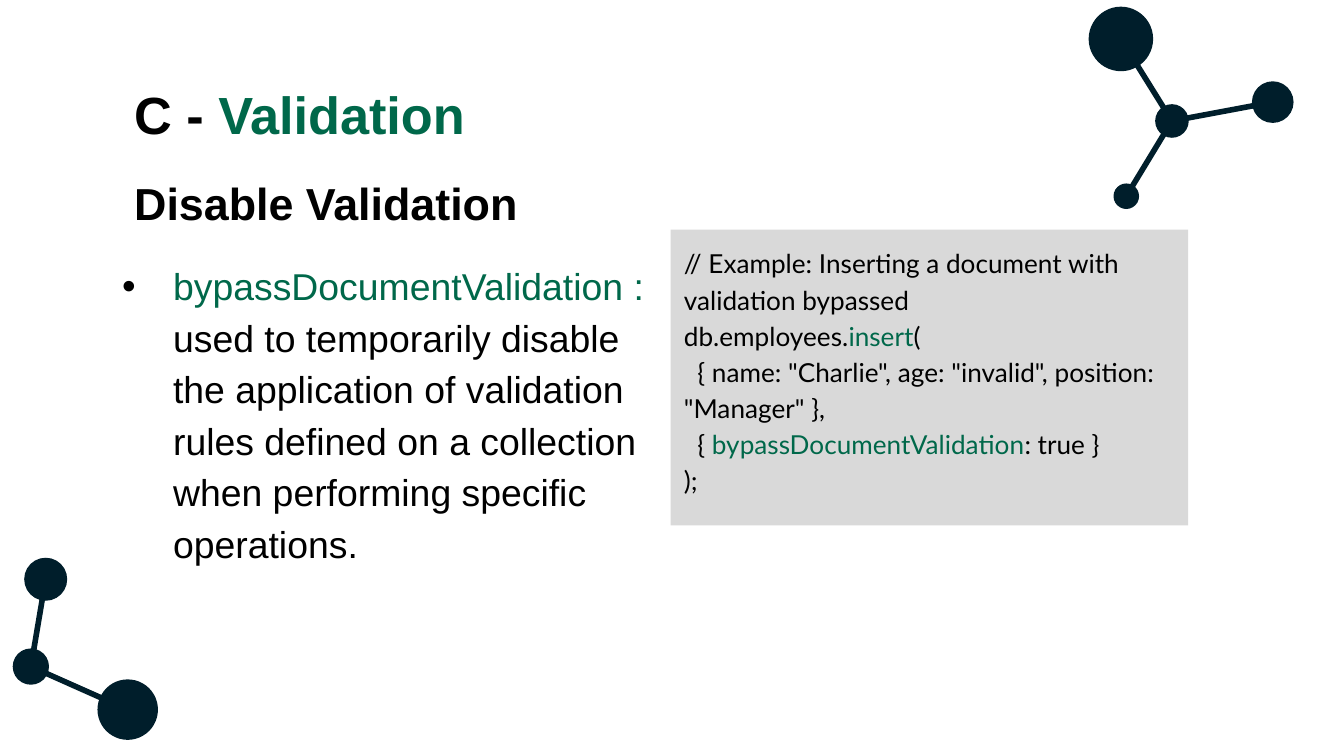
from lxml import etree
from pptx import Presentation
from pptx.dml.color import RGBColor
from pptx.enum.shapes import MSO_CONNECTOR as CONN, MSO_SHAPE as SHAPE
from pptx.enum.text import MSO_ANCHOR as ANCHOR, PP_ALIGN as ALIGN
from pptx.oxml.ns import qn
from pptx.util import Inches, Pt

NAVY, GREEN, BLACK, GREY = "001E2B", "00684A", "000000", "D9D9D9"


def paint(fmt, color):
    """Give a fill or a line a solid colour."""
    fill = getattr(fmt, "fill", fmt)
    fill.solid()
    fill.fore_color.rgb = RGBColor.from_string(color)


def write(sp, paras, anchor=ANCHOR.TOP, spacing=1.0, **font):
    """Fill a shape with paragraphs, each a list of (text, colour) runs."""
    tf = sp.text_frame
    tf.word_wrap, tf.vertical_anchor = True, anchor
    for side in ("left", "right", "top", "bottom"):
        setattr(tf, "margin_" + side, Inches(0.1))
    for i, runs in enumerate(paras):
        p = tf.paragraphs[0] if i == 0 else tf.add_paragraph()
        p.alignment, p.line_spacing = ALIGN.LEFT, spacing
        for text, color in runs:
            if text == "\n":
                p.add_line_break()
                continue
            r = p.add_run()
            r.text = text
            r.font.color.rgb = RGBColor.from_string(color)
            for key, value in font.items():
                setattr(r.font, key, value)
    return tf.paragraphs


prs = Presentation()
prs.slide_width = Inches(10)
prs.slide_height = prs.slide_width * 9 // 16
s = prs.slides.add_slide(prs.slide_layouts[6])

# Molecules: atoms as (centre x, centre y, diameter), bonds from the hub
molecules = [
    [(0.23, 4.96, 0.27), (0.34, 4.31, 0.32), (0.95, 5.28, 0.45)],
    [(8.72, 0.9, 0.25), (8.34, 0.29, 0.48), (8.38, 1.46, 0.19), (9.47, 0.76, 0.31)],
]
for atoms in molecules:
    hub_x, hub_y, _ = atoms[0]
    for x, y, d in atoms:
        atom = s.shapes.add_shape(SHAPE.OVAL, Inches(x - d / 2), Inches(y - d / 2),
                                  Inches(d), Inches(d))
        atom.shadow.inherit = False
        paint(atom.fill, NAVY)
        atom.line.fill.background()
    for x, y, _ in atoms[1:]:
        bond = s.shapes.add_connector(CONN.STRAIGHT, Inches(hub_x), Inches(hub_y),
                                      Inches(x), Inches(y))
        paint(bond.line, NAVY)
        bond.line.width = Pt(3)
        etree.SubElement(bond._element.spPr, qn("a:effectLst"))

# Headings
heading = dict(name="Arial", bold=True)
title = s.shapes.add_textbox(Inches(0.9), Inches(0.51), Inches(3.85), Inches(0.63))
write(title, [[("C - ", BLACK), ("Validation", GREEN)]], size=Pt(28), **heading)
subtitle = s.shapes.add_textbox(Inches(0.9), Inches(1.18), Inches(3.85), Inches(0.63))
write(subtitle, [[("Disable Validation", BLACK)]], ANCHOR.BOTTOM, size=Pt(24), **heading)

# Code panel
code = s.shapes.add_shape(SHAPE.RECTANGLE, Inches(4.99), Inches(1.71), Inches(3.85), Inches(2.2))
code.shadow.inherit = False
paint(code.fill, GREY)
code.line.fill.background()
lines = write(code, [
    [("// Example: Inserting a document with validation bypassed", BLACK)],
    [("db.employees.", BLACK), ("insert", GREEN), ("(", BLACK)],
    [('{ name: "Charlie", age: "invalid", position: "Manager" },', BLACK)],
    [("{ ", BLACK), ("bypassDocumentValidation", GREEN), (": true }", BLACK)],
    [(");", BLACK)],
], spacing=1.15, name="Lato", size=Pt(14))
for p in lines[2:4]:
    p._p.get_or_add_pPr().set("indent", str(Inches(0.1)))

# Bulleted explanation
body = s.shapes.add_textbox(Inches(0.66), Inches(1.81), Inches(4.33), Inches(2.44))
p = write(body, [[
    ("bypassDocumentValidation :", GREEN), ("\n", BLACK),
    ("used to temporarily disable the application of validation rules defined on a "
     "collection when performing specific operations.", BLACK),
]], spacing=1.15, name="Arial", size=Pt(20))[0]
p.space_before = Pt(10)
pPr = p._p.get_or_add_pPr()
pPr.set("marL", str(Inches(0.53)))
pPr.set("indent", str(Inches(-0.38)))
bullet_color = etree.SubElement(pPr, qn("a:buClr"))
etree.SubElement(bullet_color, qn("a:srgbClr"), val=BLACK)
etree.SubElement(pPr, qn("a:buSzPct"), val="104000")
etree.SubElement(pPr, qn("a:buFont"), typeface="Arial")
etree.SubElement(pPr, qn("a:buChar"), char="•")

prs.save("out.pptx")
